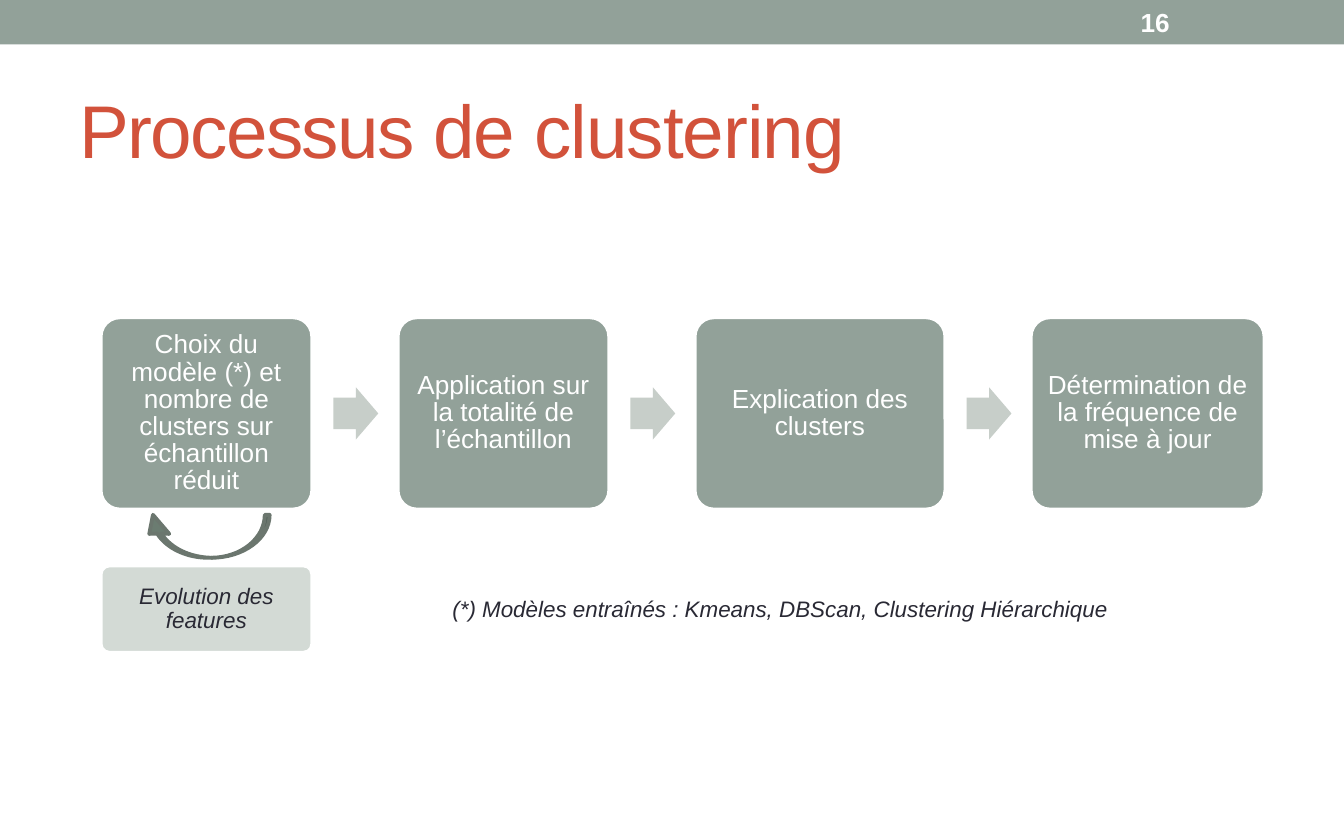
from dataclasses import dataclass
from math import cos, radians, sin

import pptx
import pptx.dml.color
import pptx.enum.shapes
import pptx.enum.text
import pptx.util

Pt = pptx.util.Pt
Shape = pptx.enum.shapes.MSO_SHAPE
Align = pptx.enum.text.PP_ALIGN
Anchor = pptx.enum.text.MSO_ANCHOR
Point = tuple[float, float]


@dataclass(frozen=True)
class Theme:
    font: str = "Arial"
    sage: str = "92A199"
    pale: str = "D3DAD5"
    mist: str = "C7CEC9"
    moss: str = "6B7C71"
    pine: str = "55635C"
    edge: str = "6B766E"
    red: str = "D2523B"
    ink: str = "292934"
    white: str = "FFFFFF"
    title: float = 40
    body: float = 14
    note: float = 12
    line: float = 2.08


@dataclass(frozen=True)
class Step:
    text: str
    width: float
    inset: float


@dataclass(frozen=True)
class Box:
    left: float
    top: float
    width: float
    height: float

    def place(self) -> list[int]:
        return [Pt(v) for v in (self.left, self.top, self.width, self.height)]


THEME = Theme()
STEPS = [
    Step("Choix du modèle (*) et nombre de clusters sur échantillon réduit", 113.4, 10),
    Step("Application sur la totalité de l’échantillon", 113.4, 5),
    Step("Explication des clusters", 134.4, 14),
    Step("Détermination de la fréquence de mise à jour", 125.3, 3),
]
LEFT, TOP, HEIGHT, GAP = 53.9, 170, 103, 45.7
ARROW_W, ARROW_H = 24, 28


def shade(color: str) -> pptx.dml.color.RGBColor:
    return pptx.dml.color.RGBColor.from_string(color)


def write(frame, *texts: str, size: float, color: str = THEME.ink, bold: bool = False,
          slant: bool = False, align=Align.LEFT, anchor=Anchor.TOP, inset: float = 0,
          pitch: float | None = None, tracks: tuple[int, ...] = (0,)) -> None:
    """Fill a frame with one run per text.

    pitch is the line height in points; tracks holds each run's spacing in 1/100 pt.
    """
    frame.word_wrap = True
    frame.auto_size = pptx.enum.text.MSO_AUTO_SIZE.NONE
    frame.vertical_anchor = anchor
    frame.margin_left = frame.margin_right = Pt(inset)
    frame.margin_top = frame.margin_bottom = 0
    para = frame.paragraphs[0]
    para.alignment = align
    para.space_before = Pt(0)
    if pitch:
        para.line_spacing = Pt(pitch)
    for text, track in zip(texts, tracks):
        run = para.add_run()
        run.text = text
        font = run.font
        font.name, font.size, font.bold, font.italic = THEME.font, Pt(size), bold, slant
        font.color.rgb = shade(color)
        if track:
            run._r.get_or_add_rPr().set("spc", str(track))


def paint(shape, fill: str, line: str | None = None) -> None:
    shape.shadow.inherit = False
    shape.fill.solid()
    shape.fill.fore_color.rgb = shade(fill)
    if line:
        shape.line.color.rgb = shade(line)
        shape.line.width = Pt(THEME.line)
    else:
        shape.line.fill.background()


def add_form(slide, kind, box: Box, fill: str, line: str | None = None):
    shape = slide.shapes.add_shape(kind, *box.place())
    paint(shape, fill, line)
    return shape


def add_card(slide, box: Box, fill: str, text: str, **style) -> None:
    card = add_form(slide, Shape.ROUNDED_RECTANGLE, box, fill, THEME.white)
    card.adjustments[0] = 0.1
    write(card.text_frame, text, align=Align.CENTER, anchor=Anchor.MIDDLE, **style)


def add_label(slide, box: Box, text: str, **style) -> None:
    write(slide.shapes.add_textbox(*box.place()).text_frame, text, **style)


def arc(mid: float, wide: float, start: int, end: int) -> list[Point]:
    """Points on the lower half of an ellipse, angles in degrees."""
    top, deep, count = 275.8, 23, 16
    turns = [radians(start + (end - start) * i / count) for i in range(count + 1)]
    return [(mid + wide * cos(t), top + deep * sin(t)) for t in turns]


def add_path(slide, points: list[Point], fill: str, line: str) -> None:
    spots = [(Pt(x), Pt(y)) for x, y in points]
    pen = slide.shapes.build_freeform(*spots[0], scale=1.0)
    pen.add_line_segments(spots[1:], close=True)
    paint(pen.convert_to_shape(), fill, line)


def add_loop(slide) -> None:
    """Draw the curved arrow that leads back to the first step."""
    tail = arc(113.2, 31.3, 0, 90) + arc(113.2, 28.7, 90, 0)
    head = [(82, 275.8), (80, 286), *arc(111.6, 30.4, 154, 90),
            *arc(113.8, 30.4, 90, 154), (90.7, 286)]
    add_path(slide, tail, THEME.pine, THEME.edge)
    add_path(slide, head, THEME.moss, THEME.edge)


def add_steps(slide) -> None:
    left = LEFT
    for i, step in enumerate(STEPS):
        if i:
            spot = Box(left - (GAP + ARROW_W) / 2 + 0.5, TOP + (HEIGHT - ARROW_H) / 2,
                       ARROW_W, ARROW_H)
            arrow = add_form(slide, Shape.RIGHT_ARROW, spot, THEME.mist)
            arrow.adjustments[0], arrow.adjustments[1] = 0.6, 0.5
        add_card(slide, Box(left, TOP, step.width, HEIGHT), THEME.sage, step.text,
                 size=THEME.body, color=THEME.white, inset=step.inset, pitch=14.5)
        left += step.width + GAP


def main() -> None:
    deck = pptx.Presentation()
    deck.slide_width, deck.slide_height = Pt(720), Pt(450)
    slide = deck.slides.add_slide(deck.slide_layouts[5])

    add_form(slide, Shape.RECTANGLE, Box(0, 0, 720, 23.8), THEME.sage)
    add_label(slide, Box(611, 3.5, 70, 18), "16",
              size=THEME.body, color=THEME.white, bold=True)

    title = slide.shapes.title
    title.left, title.top, title.width, title.height = Box(42.7, 44.7, 636, 72).place()
    write(title.text_frame, "Processus ", "de clustering",
          size=THEME.title, color=THEME.red, tracks=(-90, -50))

    add_steps(slide)
    add_loop(slide)
    add_card(slide, Box(LEFT, 302.9, STEPS[0].width, 46.8), THEME.pale,
             "Evolution des features", size=THEME.note, slant=True, inset=17, pitch=13)
    add_label(slide, Box(242.4, 319, 380, 16),
              "(*) Modèles entraînés : Kmeans, DBScan, Clustering Hiérarchique",
              size=THEME.note, slant=True)
    deck.save("out.pptx")


if __name__ == "__main__":
    main()
